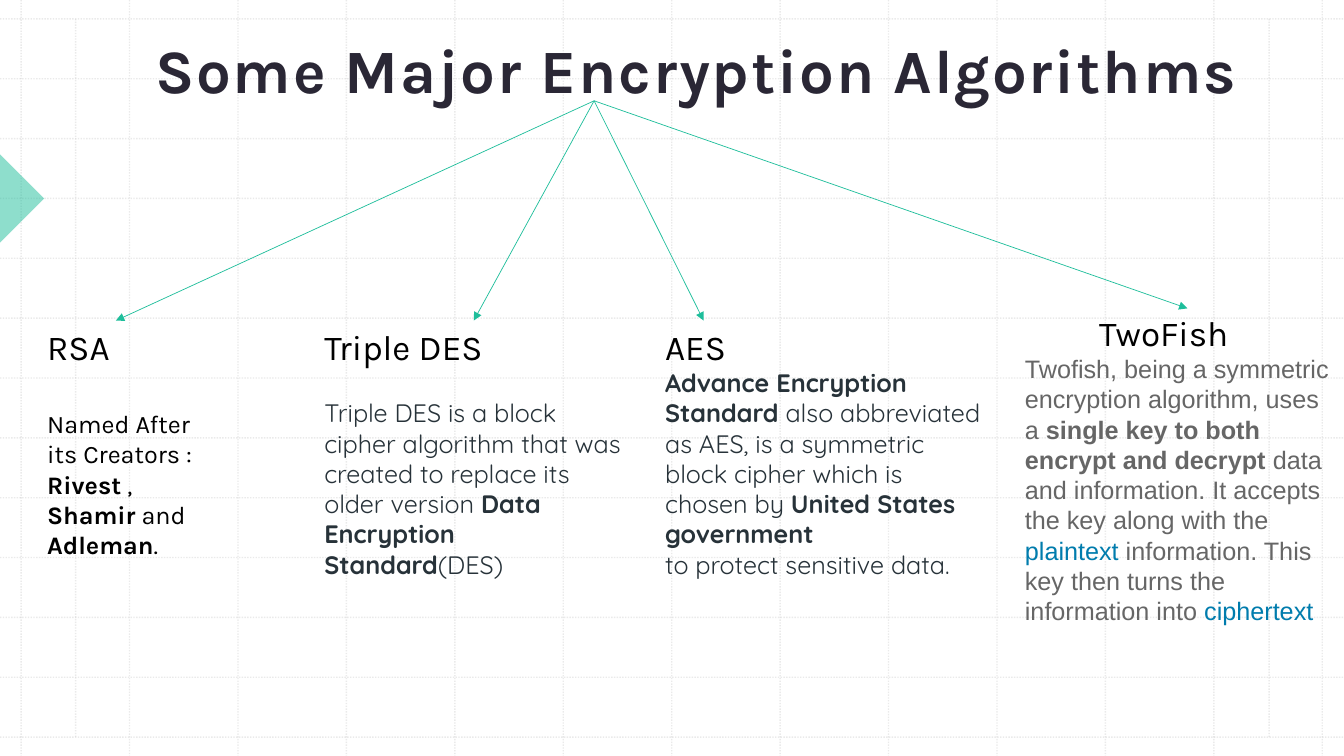
from dataclasses import dataclass
from pptx import Presentation
from pptx.dml.color import RGBColor
from pptx.enum.dml import MSO_LINE
from pptx.enum.shapes import MSO_CONNECTOR, MSO_SHAPE
from pptx.enum.text import MSO_ANCHOR
from pptx.oxml.ns import qn
from pptx.util import Pt
from lxml.etree import SubElement


@dataclass(frozen=True)
class Theme:
    grid: str = "BCBCBC"
    accent: str = "1EBE9B"
    title: str = "2A2735"
    black: str = "000000"
    slate: str = "273239"
    gray: str = "666666"
    link: str = "007CAD"
    title_size: float = 44
    heading_size: float = 25
    body_size: float = 18


THEME = Theme()
WIDTH, HEIGHT = 960, 540
TITLE = "Some Major Encryption Algorithms"
TITLE_BOX = (102.2, 26.6, 812.9, 56.2)
ARROW_START = (424.4, 72)

COLUMNS = [
    {
        "heading": "RSA", "box": (26.6, 229, 129.6, 177), "arrow_end": (82.8, 229),
        "font": "Karla", "color": THEME.black, "gap": 29.2,
        "body": [
            [("Named After its Creators :", "")],
            [("Rivest", "bold"), (" , ", ""), ("Shamir", "bold"), (" and ", ""),
             ("Adleman", "bold"), (".", "")],
        ],
    },
    {
        "heading": "Triple DES", "box": (224.6, 229, 228.2, 212.4), "arrow_end": (338.4, 229),
        "font": "Quicksand", "color": THEME.slate, "gap": 21.5,
        "body": [
            [("Triple DES is a block cipher algorithm that was created to replace its older version ", ""),
             ("Data Encryption Standard", "bold"), ("(DES)", "")],
        ],
    },
    {
        "heading": "AES", "box": (468, 229, 246.2, 168.5), "arrow_end": (502.6, 229),
        "font": "Quicksand", "color": THEME.slate,
        "body": [
            [("Advance Encryption Standard", "bold"),
             (" also abbreviated as AES, is a symmetric block cipher which is chosen by ", ""),
             ("United States government", "bold")],
            [("to protect sensitive data.", "")],
        ],
    },
    {
        "heading": "TwoFish", "box": (725, 218.9, 236.2, 234), "arrow_end": (848.2, 220.3),
        "font": "Arial", "color": THEME.gray, "heading_indent": 53,
        "body": [
            [("Twofish, being a symmetric encryption algorithm, uses a ", ""),
             ("single key to both encrypt and decrypt ", "bold"),
             ("data and information. It accepts the key along with the ", ""),
             ("plaintext", "link"),
             (" information. This key then turns the information into ", ""),
             ("ciphertext", "link")],
        ],
    },
]


def set_alpha(element, percent):
    for color in element.iter(qn("a:srgbClr")):
        SubElement(color, qn("a:alpha")).set("val", str(percent * 1000))


def add_line(page, start, end, color, width):
    line = page.shapes.add_connector(
        MSO_CONNECTOR.STRAIGHT, *(Pt(value) for value in (*start, *end)))
    line.line.color.rgb = RGBColor.from_string(color)
    line.line.width = Pt(width)
    SubElement(line._element.spPr, qn("a:effectLst"))
    return line


def add_grid_line(page, start, end):
    line = add_line(page, start, end, THEME.grid, 1)
    line.line.dash_style = MSO_LINE.ROUND_DOT
    set_alpha(line._element.spPr, 30)


def add_arrow(page, start, end):
    arrow = add_line(page, start, end, THEME.accent, 0.5)
    SubElement(arrow.line._get_or_add_ln(), qn("a:tailEnd")).set("type", "triangle")


def add_box(page, bounds, anchor=MSO_ANCHOR.TOP, margins=(7.2, 3.6, 7.2, 3.6)):
    frame = page.shapes.add_textbox(*(Pt(value) for value in bounds)).text_frame
    frame.word_wrap = True
    frame.vertical_anchor = anchor
    frame.margin_left, frame.margin_top, frame.margin_right, frame.margin_bottom = map(Pt, margins)
    return frame


def add_span(para, text, font, size, color, bold=False, spacing=0):
    span = para.add_run()
    span.text = text
    span.font.name = font
    span.font.size = Pt(size)
    span.font.bold = bold
    span.font.color.rgb = RGBColor.from_string(color)
    if spacing:
        span.font._element.set("spc", str(round(spacing * 100)))


def add_column(page, column):
    frame = add_box(page, column["box"])
    heading = frame.paragraphs[0]
    if "heading_indent" in column:
        heading._p.get_or_add_pPr().set("marL", str(Pt(column["heading_indent"])))
    add_span(heading, column["heading"], "Karla", THEME.heading_size, THEME.black)
    for index, spans in enumerate(column["body"]):
        para = frame.add_paragraph()
        if index == 0:
            para.space_before = Pt(column.get("gap", 0))
        for text, style in spans:
            color = THEME.link if style == "link" else column["color"]
            add_span(para, text, column["font"], THEME.body_size, color, bold=style == "bold")


def main():
    deck = Presentation()
    deck.slide_width, deck.slide_height = Pt(WIDTH), Pt(HEIGHT)
    page = deck.slides.add_slide(deck.slide_layouts[6])

    for step in range(13):
        x, y = 15.1 + 77.45 * step, 13.5 + 42.75 * step
        add_grid_line(page, (x, 0), (x, HEIGHT))
        add_grid_line(page, (0, y), (WIDTH, y))
    for x in (54, 906.5):
        add_grid_line(page, (x, 13.5), (x, 526.5))

    marker = page.shapes.add_shape(
        MSO_SHAPE.RIGHT_TRIANGLE, Pt(-22.3), Pt(119.5), Pt(44.6), Pt(44.6))
    marker.rotation = 225
    marker.shadow.inherit = False
    marker.fill.solid()
    marker.fill.fore_color.rgb = RGBColor.from_string(THEME.accent)
    marker.line.fill.background()
    set_alpha(marker._element.spPr, 50)

    title = add_box(page, TITLE_BOX, MSO_ANCHOR.BOTTOM, (8.6, 8.6, 8.6, 7.2))
    add_span(title.paragraphs[0], TITLE, "Karla", THEME.title_size, THEME.title,
             bold=True, spacing=1.3)

    for column in COLUMNS:
        add_arrow(page, ARROW_START, column["arrow_end"])
    for column in COLUMNS:
        add_column(page, column)

    deck.save("out.pptx")


if __name__ == "__main__":
    main()
